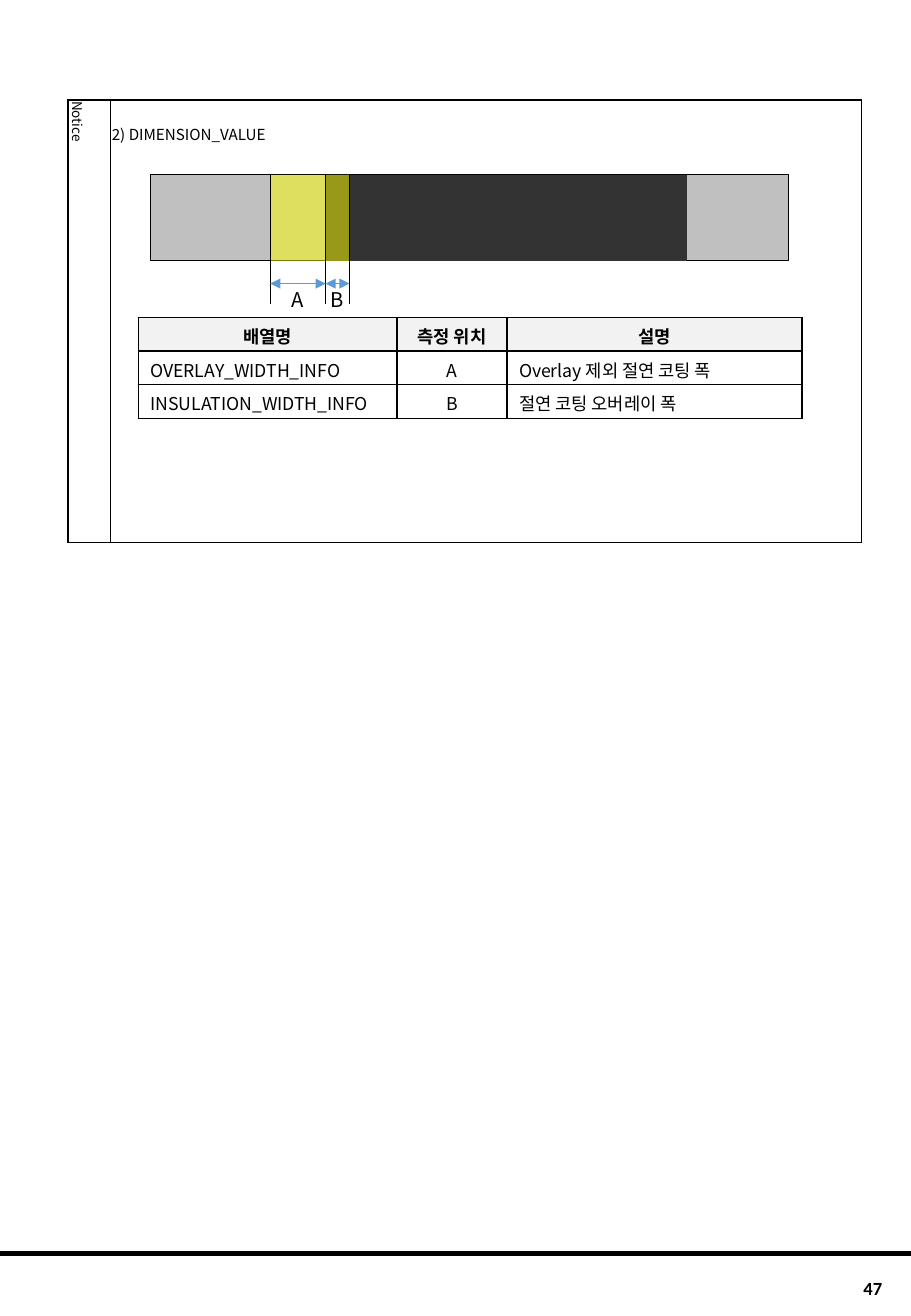
"""Build the notice page that explains the DIMENSION_VALUE arrays."""
from dataclasses import dataclass

from lxml.etree import SubElement
from pptx import Presentation
from pptx.dml.color import RGBColor
from pptx.enum.shapes import MSO_CONNECTOR, MSO_SHAPE
from pptx.enum.text import MSO_ANCHOR as Anchor, PP_ALIGN as Align
from pptx.oxml.ns import qn
from pptx.util import Pt


@dataclass(frozen=True)
class Theme:
    """Colours, fonts and type sizes of the page."""
    font: str = "Noto Sans CJK KR"
    number_font: str = "Calibri"
    ink: str = "000000"
    header: str = "F2F2F2"
    foil: str = "C0C0C0"
    electrode: str = "333333"
    coating: str = "FFFF00"
    arrow: str = "5B9BD5"
    notice: float = 8
    heading: float = 9
    cell: float = 10.5
    number: float = 11
    label: float = 12


THEME = Theme()
BAR_TOP, BAR_HEIGHT = 103.6, 51
GUIDES = (160.2, 193, 207.2)
GUIDE_BOTTOM = 180.4
ARROW_Y = 168.1
ARRAYS = (
    ("배열명", "측정 위치", "설명"),
    ("OVERLAY_WIDTH_INFO", "A", "Overlay 제외 절연 코팅 폭"),
    ("INSULATION_WIDTH_INFO", "B", "절연 코팅 오버레이 폭"),
)


def write(frame, text, size, font=THEME.font, bold=False, align=Align.LEFT):
    """Put one formatted paragraph into a text frame."""
    para = frame.paragraphs[0]
    para.alignment = align
    span = para.add_run()
    span.text = text
    span.font.size = Pt(size)
    span.font.bold = bold
    span.font.color.rgb = RGBColor.from_string(THEME.ink)
    span.font.name = font
    SubElement(span.font._element, qn("a:ea"), typeface=font)


def add_label(page, text, left, top, width, height, margin=0, wrap=True, **style):
    """Add a text box with its text centred vertically."""
    box = page.shapes.add_textbox(Pt(left), Pt(top), Pt(width), Pt(height))
    frame = box.text_frame
    frame.word_wrap = wrap
    frame.vertical_anchor = Anchor.MIDDLE
    frame.margin_left = frame.margin_right = Pt(margin)
    frame.margin_top = frame.margin_bottom = 0
    write(frame, text, **style)


def add_layer(page, left, width, color, outline=None, alpha=None):
    """Add one rectangle of the coated bar."""
    layer = page.shapes.add_shape(
        MSO_SHAPE.RECTANGLE, Pt(left), Pt(BAR_TOP), Pt(width), Pt(BAR_HEIGHT))
    layer.shadow.inherit = False
    layer.fill.solid()
    layer.fill.fore_color.rgb = RGBColor.from_string(color)
    if alpha:
        tint = layer._element.spPr.find(qn("a:solidFill"))[0]
        SubElement(tint, qn("a:alpha"), val=str(alpha * 1000))
    if outline:
        layer.line.color.rgb = RGBColor.from_string(outline)
        layer.line.width = Pt(0.75)
    else:
        layer.line.fill.background()


def add_line(page, x1, y1, x2, y2, color=THEME.ink, width=0.5, arrows=False):
    """Add a straight line, with arrowheads at both ends on request."""
    line = page.shapes.add_connector(
        MSO_CONNECTOR.STRAIGHT, Pt(x1), Pt(y1), Pt(x2), Pt(y2))
    line.line.color.rgb = RGBColor.from_string(color)
    line.line.width = Pt(width)
    if arrows:
        outline = line.line._get_or_add_ln()
        for end in ("a:headEnd", "a:tailEnd"):
            SubElement(outline, qn(end), type="triangle")
    SubElement(line._element.spPr, qn("a:effectLst"))


def add_grid(page, left, top, columns, row_height, row_count):
    """Add a plain table with black borders and return it."""
    table = page.shapes.add_table(
        row_count, len(columns), Pt(left), Pt(top),
        Pt(sum(columns)), Pt(row_height * row_count)).table
    table.first_row = table.horz_banding = False
    for column, width in zip(table.columns, columns):
        column.width = Pt(width)
    for row in table.rows:
        row.height = Pt(row_height)
    for cell in table.iter_cells():
        properties = cell._tc.get_or_add_tcPr()
        for side in "LRTB":
            border = SubElement(properties, qn(f"a:ln{side}"), w=str(Pt(1)))
            fill = SubElement(border, qn("a:solidFill"))
            SubElement(fill, qn("a:srgbClr"), val=THEME.ink)
        cell.fill.background()
    return table


def fill_cell(cell, text, margins, anchor=Anchor.TOP, **style):
    """Write a cell, with margins given as left, top, right, bottom."""
    (cell.margin_left, cell.margin_top,
     cell.margin_right, cell.margin_bottom) = map(Pt, margins)
    cell.vertical_anchor = anchor
    write(cell.text_frame, text, **style)


def add_notice(page):
    """Add the outer frame with its sideways caption and heading."""
    table = add_grid(page, 40.4, 59.2, (25.2, 445.2), 262.4, 1)
    caption, body = table.cell(0, 0), table.cell(0, 1)
    fill_cell(caption, "Notice", (0.7, 0.7, 0.7, 0), Anchor.MIDDLE, size=THEME.notice)
    caption._tc.get_or_add_tcPr().set("vert", "vert")
    fill_cell(body, "2) DIMENSION_VALUE", (0.7, 13.7, 0.7, 0), size=THEME.heading)


def add_diagram(page):
    """Add the coated bar and the dimensions measured on it."""
    add_layer(page, 89.4, 378, THEME.foil, outline=THEME.ink)
    add_layer(page, GUIDES[1], 214.2, THEME.electrode)
    add_layer(page, GUIDES[0], GUIDES[2] - GUIDES[0], THEME.coating, alpha=50)
    for x in GUIDES:
        add_line(page, x, BAR_TOP, x, GUIDE_BOTTOM)
    for name, start, end in zip("AB", GUIDES, GUIDES[1:]):
        add_line(page, start, ARROW_Y, end, ARROW_Y, THEME.arrow, arrows=True)
        add_label(page, name, (start + end) / 2 - 7, 168.5, 14, 18, wrap=False,
                  size=THEME.label, align=Align.CENTER)


def add_arrays(page):
    """Add the table of array names, positions and descriptions."""
    table = add_grid(page, 82, 188.2, (153.3, 65.2, 175), 19.9, len(ARRAYS))
    for r, record in enumerate(ARRAYS):
        for c, text in enumerate(record):
            cell = table.cell(r, c)
            centred = r == 0 or c == 1
            fill_cell(cell, text, (7.2, 2, 7.2, 0), Anchor.MIDDLE,
                      size=THEME.cell, bold=r == 0,
                      align=Align.CENTER if centred else Align.LEFT)
            if r == 0:
                cell.fill.solid()
                cell.fill.fore_color.rgb = RGBColor.from_string(THEME.header)


def main():
    """Build and save the deck."""
    deck = Presentation()
    deck.slide_width, deck.slide_height = Pt(540), Pt(780)
    page = deck.slides.add_slide(deck.slide_layouts[6])
    add_line(page, 0, 742.8, 540, 742.8, width=3)
    add_notice(page)
    add_label(page, "47", 445, 753.2, 85, 20, margin=7.2, size=THEME.number,
              font=THEME.number_font, bold=True, align=Align.RIGHT)
    add_diagram(page)
    add_arrays(page)
    deck.save("out.pptx")


if __name__ == "__main__":
    main()
